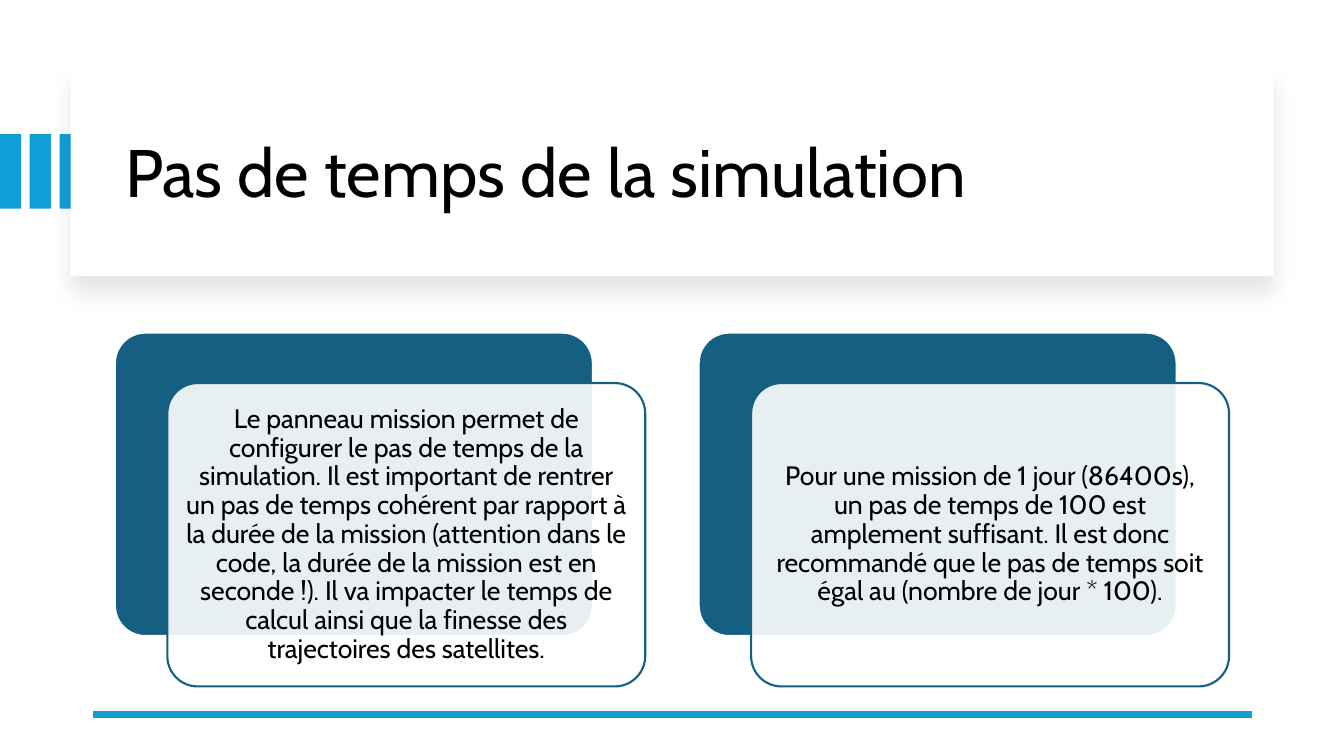
from dataclasses import dataclass

from lxml import etree
from pptx import Presentation
from pptx.dml.color import RGBColor
from pptx.enum.shapes import MSO_CONNECTOR, MSO_SHAPE
from pptx.enum.text import MSO_ANCHOR, PP_ALIGN
from pptx.oxml import parse_xml
from pptx.oxml.ns import nsdecls, qn
from pptx.util import Inches, Pt

RECT = MSO_SHAPE.RECTANGLE
ROUNDED = MSO_SHAPE.ROUNDED_RECTANGLE
STRAIGHT = MSO_CONNECTOR.STRAIGHT
MIDDLE = MSO_ANCHOR.MIDDLE
LEFT, CENTER = PP_ALIGN.LEFT, PP_ALIGN.CENTER

WHITE = RGBColor(0xFF, 0xFF, 0xFF)
BLACK = RGBColor(0x00, 0x00, 0x00)
SKY = RGBColor(0x0F, 0x9E, 0xD5)
TEAL = RGBColor(0x15, 0x60, 0x82)
FONT = "Cabin"


@dataclass(frozen=True)
class Box:
    left: float
    top: float
    width: float
    height: float

    def lengths(self):
        return [Inches(n) for n in (self.left, self.top, self.width, self.height)]

    def inset(self, gap: float) -> "Box":
        return Box(self.left + gap, self.top + gap,
                   self.width - 2 * gap, self.height - 2 * gap)


@dataclass(frozen=True)
class Card:
    left: float
    message: str


CARDS = (
    Card(1.14, "Le panneau mission permet de configurer le pas de temps de la "
               "simulation. Il est important de rentrer un pas de temps cohérent "
               "par rapport à la durée de la mission (attention dans le code, la "
               "durée de la mission est en seconde !). Il va impacter le temps de "
               "calcul ainsi que la finesse des trajectoires des satellites."),
    Card(6.93, "Pour une mission de 1 jour (86400s), un pas de temps de 100 est "
               "amplement suffisant. Il est donc recommandé que le pas de temps "
               "soit égal au (nombre de jour * 100)."),
)
CARD_TOP, CARD_WIDTH, CARD_HEIGHT = 3.3, 4.74, 3.01
FRONT_DX, FRONT_DY = 0.52, 0.5


def add_block(shapes, kind, box: Box, fill: RGBColor, line: RGBColor | None = None):
    block = shapes.add_shape(kind, *box.lengths())
    block.shadow.inherit = False
    block.fill.solid()
    block.fill.fore_color.rgb = fill
    if line is None:
        block.line.fill.background()
    else:
        block.line.color.rgb = line
        block.line.width = Pt(1.5)
    if kind == ROUNDED:
        block.adjustments[0] = 0.1
    return block


def write(frame, text: str, *, size: float, align=LEFT, margin: float | None = None) -> None:
    frame.word_wrap = True
    frame.vertical_anchor = MIDDLE
    if margin is not None:
        frame.margin_left = frame.margin_right = Inches(margin)
        frame.margin_top = frame.margin_bottom = Inches(margin)
    paragraph = frame.paragraphs[0]
    paragraph.alignment = align
    paragraph.line_spacing = 0.9
    run = paragraph.add_run()
    run.text = text
    run.font.name = FONT
    run.font.size = Pt(size)
    run.font.color.rgb = BLACK


def cast_shadow(block) -> None:
    effects = block._element.spPr.find(qn("a:effectLst"))
    effects.append(parse_xml(
        f'<a:outerShdw {nsdecls("a")} blurRad="{Pt(15)}" dist="{Pt(11)}" '
        'dir="5400000" algn="t" rotWithShape="0">'
        '<a:srgbClr val="000000"><a:alpha val="10000"/></a:srgbClr></a:outerShdw>'))


def set_opacity(block, percent: int) -> None:
    color = block._element.spPr.find(qn("a:solidFill"))[0]
    etree.SubElement(color, qn("a:alpha")).set("val", str(percent * 1000))


def add_card(shapes, card: Card) -> None:
    back = Box(card.left, CARD_TOP, CARD_WIDTH, CARD_HEIGHT)
    front = Box(card.left + FRONT_DX, CARD_TOP + FRONT_DY, CARD_WIDTH, CARD_HEIGHT)
    add_block(shapes, ROUNDED, back, TEAL, WHITE)
    set_opacity(add_block(shapes, ROUNDED, front, WHITE, TEAL), 90)
    message = shapes.add_textbox(*front.inset(0.09).lengths())
    write(message.text_frame, card.message, size=19, align=CENTER, margin=0.08)


def main() -> None:
    deck = Presentation()
    deck.slide_width, deck.slide_height = Inches(13.33), Inches(7.5)
    slide = deck.slides.add_slide(deck.slide_layouts[5])
    shapes = slide.shapes

    # Accent bars, partly under the title panel
    for index in range(3):
        add_block(shapes, RECT, Box(index * 0.295, 1.33, 0.21, 0.74), SKY)

    # Title panel, with the title raised above it
    panel = add_block(shapes, RECT, Box(0.7, 0.67, 11.93, 2.07), WHITE)
    cast_shadow(panel)
    title = shapes.title
    title.left, title.top, title.width, title.height = Box(1.14, 0.89, 11.13, 1.7).lengths()
    write(title.text_frame, "Pas de temps de la simulation", size=48)
    panel._element.addnext(title._element)

    # Bottom rule
    rule = shapes.add_connector(STRAIGHT, Inches(12.42), Inches(7.09),
                                Inches(0.92), Inches(7.09))
    rule.line.color.rgb = SKY
    rule.line.width = Pt(4.5)
    etree.SubElement(rule._element.spPr, qn("a:effectLst"))

    # Message cards
    for card in CARDS:
        add_card(shapes, card)

    deck.save("out.pptx")


if __name__ == "__main__":
    main()
